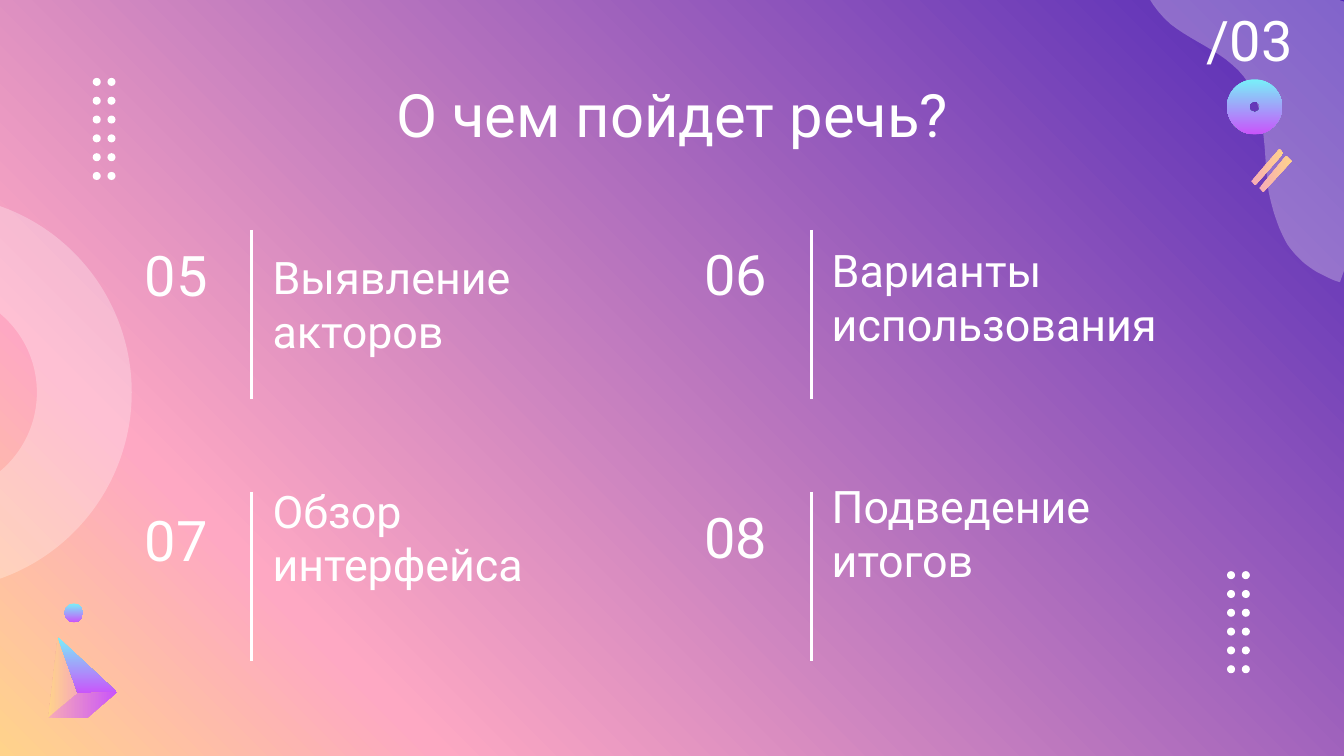
from copy import deepcopy
from dataclasses import dataclass

from lxml import etree
from pptx import Presentation
from pptx import util as u
from pptx.dml.color import RGBColor
from pptx.enum import shapes, text
from pptx.oxml.ns import qn


@dataclass(frozen=True)
class Theme:
    font: str = "Roboto"
    white: str = "FFFFFF"
    background: tuple = ("5229B7", "FEA8C3", "FFD38B")
    neon: tuple = ("78F0F9", "C954FA")
    peach: tuple = ("F7ABB7", "FFD38B")
    blush: tuple = ("F7ABB7", "C954FA")
    title: int = 32
    number: int = 30
    topic: int = 24


theme = Theme()


def paint(shape, colors, angle=0, opacity=100):
    """Fill with one colour or a two-colour gradient, without line or shadow."""
    shape.shadow.inherit = False
    shape.line.fill.background()
    if isinstance(colors, str):
        shape.fill.solid()
        shape.fill.fore_color.rgb = RGBColor.from_string(colors)
        if opacity < 100:
            color = shape._element.spPr.find(".//" + qn("a:srgbClr"))
            etree.SubElement(color, qn("a:alpha"), val=str(opacity * 1000))
        return
    shape.fill.gradient()
    shape.fill.gradient_angle = angle
    for stop, color, position in zip(shape.fill.gradient_stops, colors, (0, 1)):
        stop.color.rgb = RGBColor.from_string(color)
        stop.position = position


def write(shape, words, size, box, align=text.PP_ALIGN.LEFT):
    """Place a text shape and format its single paragraph."""
    shape.left, shape.top, shape.width, shape.height = map(u.Inches, box)
    frame = shape.text_frame
    frame.text = words
    frame.word_wrap = True
    frame.auto_size = text.MSO_AUTO_SIZE.NONE
    frame.vertical_anchor = text.MSO_ANCHOR.MIDDLE
    frame.margin_left = frame.margin_right = u.Inches(0.1)
    frame.margin_top = frame.margin_bottom = u.Inches(0.1)
    paragraph = frame.paragraphs[0]
    paragraph.alignment = align
    paragraph.font.name = theme.font
    paragraph.font.size = u.Pt(size)
    paragraph.font.color.rgb = RGBColor.from_string(theme.white)


# A 16:9 slide
presentation = Presentation()
presentation.slide_width = u.Inches(10)
presentation.slide_height = presentation.slide_width * 9 // 16
slide = presentation.slides.add_slide(presentation.slide_layouts[5])
canvas = slide.shapes

# Diagonal three-colour background
fill = slide.background.fill
fill.gradient()
fill.gradient_angle = 225
stop_list = slide._element.find(".//" + qn("a:gsLst"))
stop_list.append(deepcopy(stop_list[-1]))
for stop, color, position in zip(fill.gradient_stops, theme.background, (0, 0.79, 1)):
    stop.color.rgb = RGBColor.from_string(color)
    stop.position = position

# Wavy corner: Bezier segments turned into short straight steps
wave = [(8.46, -0.52), (8.41, -0.27), (8.51, 0.01), (8.71, 0.18), (8.9, 0.33), (9.15, 0.4),
        (9.29, 0.62), (9.43, 0.86), (9.4, 1.16), (9.44, 1.43), (9.47, 1.57), (9.51, 1.7),
        (9.58, 1.82), (9.65, 1.92), (9.74, 2), (9.85, 2.05), (9.89, 2.07), (9.93, 2.09),
        (9.97, 2.1)]
steps = 12
corner = [wave[0]]
for first in range(0, len(wave) - 1, 3):
    a, b, c, d = wave[first:first + 4]
    for step in range(1, steps + 1):
        t = step / steps
        corner.append(tuple((1 - t) ** 3 * a[axis] + 3 * t * (1 - t) ** 2 * b[axis]
                            + 3 * t ** 2 * (1 - t) * c[axis] + t ** 3 * d[axis]
                            for axis in range(2)))
corner.append((10.63, 0.23))

# Outlines: corner, paper plane, two slanted bars
outlines = [
    (corner, theme.white, 0, 28),
    ([(0.36, 5.34), (0.58, 5.16), (0.43, 4.74)], theme.peach, 180, 100),
    ([(0.43, 4.74), (0.58, 5.16), (0.87, 5.15)], theme.neon, 270, 100),
    ([(0.87, 5.15), (0.58, 5.16), (0.36, 5.34), (0.65, 5.34)], theme.blush, 0, 100),
    ([(9.31, 1.35), (9.52, 1.11), (9.55, 1.14), (9.34, 1.38)], theme.peach, 0, 100),
    ([(9.37, 1.4), (9.57, 1.16), (9.61, 1.2), (9.4, 1.43)], theme.peach, 0, 100),
]
for points, colors, angle, opacity in outlines:
    mils = [(round(x * 1000), round(y * 1000)) for x, y in points]
    builder = canvas.build_freeform(*mils[0], scale=u.Inches(1) / 1000)
    builder.add_line_segments(mils[1:], close=True)
    paint(builder.convert_to_shape(), colors, angle, opacity)

# Rings and dots: kind, left, top, size, ring thickness, colours, opacity
rounds = [
    (shapes.MSO_SHAPE.DONUT, -1.96, 1.45, 2.94, 0.24, theme.white, 28),
    (shapes.MSO_SHAPE.DONUT, 9.13, 0.59, 0.41, 0.4, theme.neon, 100),
    (shapes.MSO_SHAPE.OVAL, 0.48, 4.49, 0.14, None, theme.neon, 100),
]
for grid_left, grid_top in ((0.69, 0.58), (9.13, 4.25)):
    for column in range(2):
        for row in range(6):
            rounds.append((shapes.MSO_SHAPE.OVAL, grid_left + 0.11 * column,
                           grid_top + 0.14 * row, 0.06, None, theme.white, 100))
for kind, left, top, size, thickness, colors, opacity in rounds:
    shape = canvas.add_shape(kind, u.Inches(left), u.Inches(top), u.Inches(size), u.Inches(size))
    if thickness:
        shape.adjustments[0] = thickness
    paint(shape, colors, 270, opacity)

# Title and page number
write(canvas.title, "О чем пойдет речь?", theme.title, (0.79, 0.58, 8.43, 0.53),
      text.PP_ALIGN.CENTER)
write(canvas.add_textbox(0, 0, 0, 0), "/03", theme.number, (8.88, 0, 1.23, 0.58))

# Topics in a two by two grid: number, its top, words, their top, width and height
columns = ((0.98, 1.87, 1.93), (5.14, 6.04, 6.09))
line_tops = (1.71, 3.66)
topics = [
    ("05", 1.75, "Выявление акторов", 1.82, 2.92, 0.88),
    ("06", 1.74, "Варианты использования", 1.82, 3.13, 0.77),
    ("07", 3.72, "Обзор интерфейса", 3.69, 2.56, 0.61),
    ("08", 3.7, "Подведение итогов", 3.66, 2.93, 0.61),
]
for index, (number, number_top, words, top, width, height) in enumerate(topics):
    row, column = divmod(index, 2)
    number_left, line_left, words_left = columns[column]
    write(canvas.add_textbox(0, 0, 0, 0), number, theme.number,
          (number_left, number_top, 0.89, 0.58))
    write(canvas.add_textbox(0, 0, 0, 0), words, theme.topic, (words_left, top, width, height))
    x, y = u.Inches(line_left), u.Inches(line_tops[row])
    divider = canvas.add_connector(shapes.MSO_CONNECTOR.STRAIGHT, x, y, x, y + u.Inches(1.26))
    divider.line.color.rgb = RGBColor.from_string(theme.white)
    divider.line.width = u.Pt(1.5)
    etree.SubElement(divider._element.spPr, qn("a:effectLst"))

presentation.save("out.pptx")
